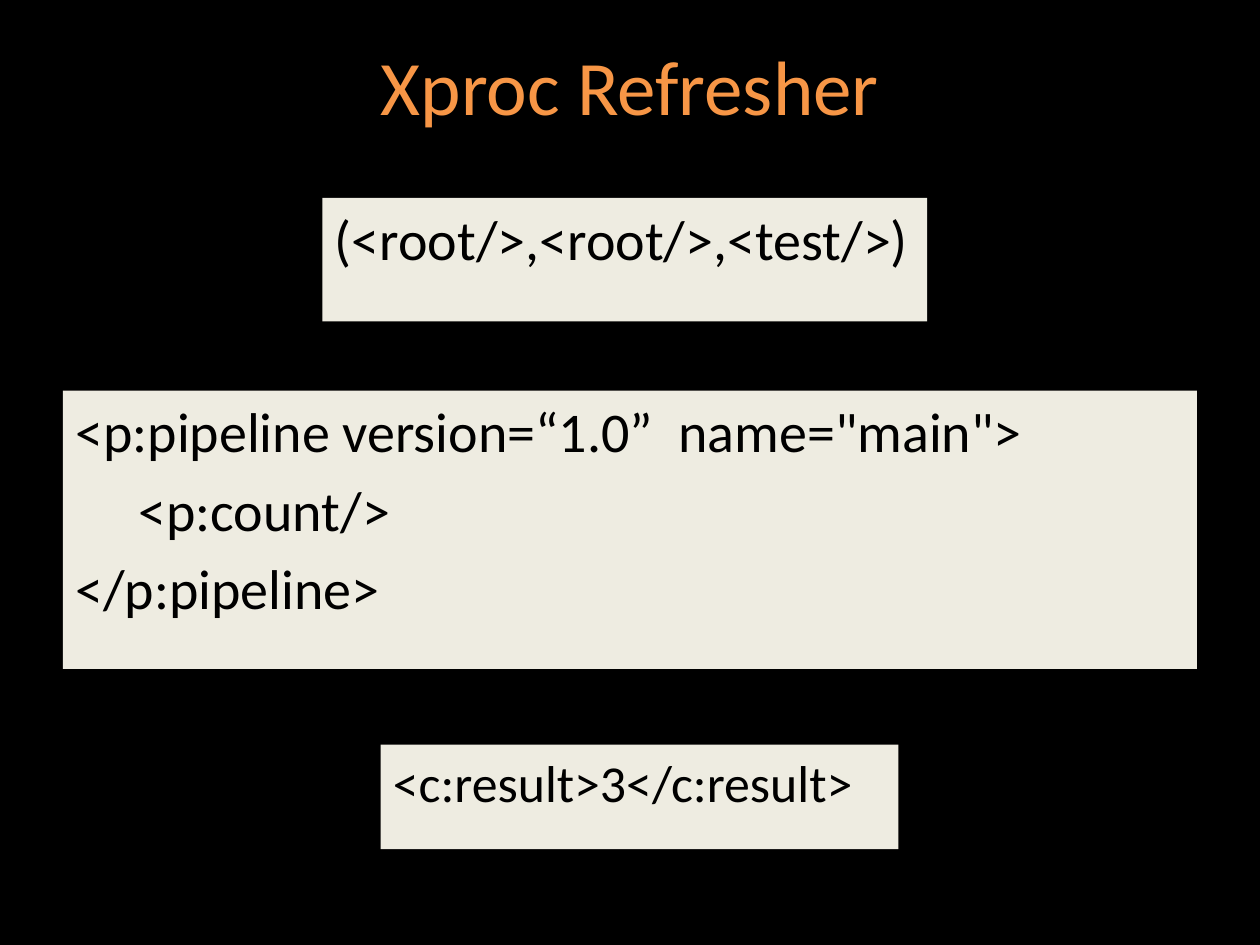
from pptx import Presentation
from pptx.dml.color import RGBColor
from pptx.enum.shapes import MSO_SHAPE
from pptx.enum.text import MSO_ANCHOR, PP_ALIGN
from pptx.util import Inches, Pt

BLACK = RGBColor(0x00, 0x00, 0x00)
ORANGE = RGBColor(0xF7, 0x96, 0x46)
CREAM = RGBColor(0xEE, 0xEC, 0xE1)
FONT = "Calibri"


def style_paragraph(paragraph, size, color, alignment):
    paragraph.alignment = alignment
    paragraph.font.name = FONT
    paragraph.font.size = Pt(size)
    paragraph.font.color.rgb = color


def add_title(slide, box, text):
    shape = slide.shapes.add_textbox(*map(Inches, box))
    frame = shape.text_frame
    frame.word_wrap = True
    frame.vertical_anchor = MSO_ANCHOR.MIDDLE
    frame.text = text
    style_paragraph(frame.paragraphs[0], 44, ORANGE, PP_ALIGN.CENTER)


def add_code_panel(slide, box, lines, size=32):
    shape = slide.shapes.add_shape(MSO_SHAPE.RECTANGLE, *map(Inches, box))
    shape.shadow.inherit = False
    shape.fill.solid()
    shape.fill.fore_color.rgb = CREAM
    shape.line.fill.background()
    frame = shape.text_frame
    frame.word_wrap = True
    frame.vertical_anchor = MSO_ANCHOR.TOP
    frame.text = "\n".join(text for text, indent in lines)
    for paragraph, (text, indent) in zip(frame.paragraphs, lines):
        style_paragraph(paragraph, size, BLACK, PP_ALIGN.LEFT)
        paragraph.space_before = Pt(size * 0.2)
        paragraph._p.get_or_add_pPr().set("marL", str(Inches(indent)))


def main():
    presentation = Presentation()
    presentation.slide_width = Inches(10)
    presentation.slide_height = Inches(7.5)
    slide = presentation.slides.add_slide(presentation.slide_layouts[6])
    slide.background.fill.solid()
    slide.background.fill.fore_color.rgb = BLACK

    add_title(slide, (0.5, 0.05, 9, 1.25), "Xproc Refresher")
    add_code_panel(slide, (0.5, 3.1, 9, 2.21), [
        ("<p:pipeline version=“1.0”  name=\"main\">", 0),
        ("<p:count/>", 0.5),
        ("</p:pipeline>", 0),
    ])
    add_code_panel(slide, (2.56, 1.57, 4.8, 0.98), [("(<root/>,<root/>,<test/>)", 0)])
    add_code_panel(slide, (3.02, 5.91, 4.11, 0.83), [("<c:result>3</c:result>", 0)], 29.6)
    presentation.save("out.pptx")


if __name__ == "__main__":
    main()
